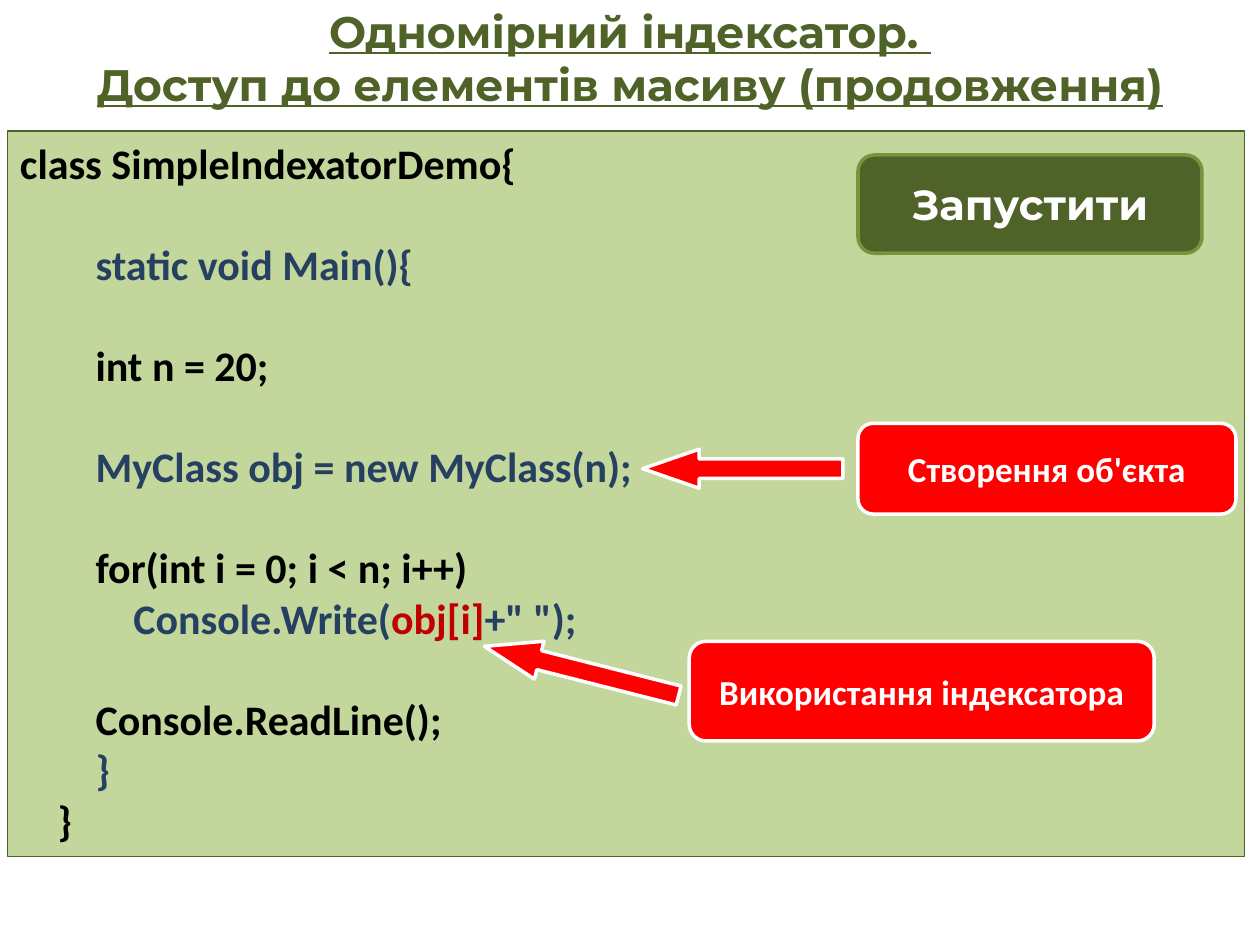
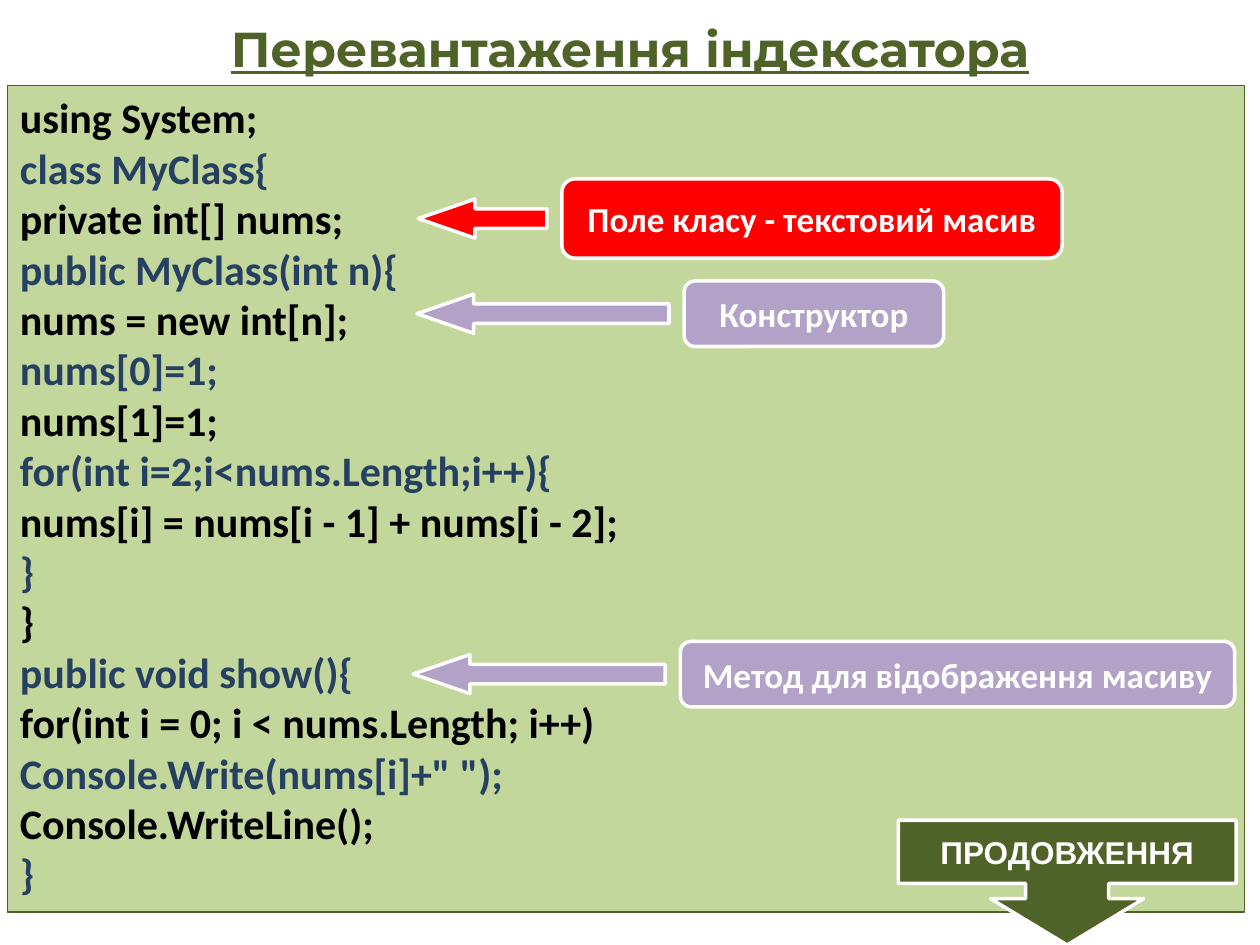
"""Two lecture slides on C# indexers: code panels with pointed-out lines."""
import pptx
import pptx.dml.color
import pptx.enum.shapes
import pptx.enum.text
import pptx.util

Inches = pptx.util.Inches
Pt = pptx.util.Pt
RGBColor = pptx.dml.color.RGBColor
SHAPES = pptx.enum.shapes.MSO_SHAPE
ANCHOR = pptx.enum.text.MSO_ANCHOR
ALIGN = pptx.enum.text.PP_ALIGN

DARK_GREEN = RGBColor(0x4F, 0x62, 0x28)
MID_GREEN = RGBColor(0x77, 0x93, 0x3C)
PALE_GREEN = RGBColor(0xC3, 0xD6, 0x9B)
BLACK = RGBColor(0, 0, 0)
NAVY = RGBColor(0x25, 0x40, 0x61)
DARK_RED = RGBColor(0xC0, 0, 0)
RED = RGBColor(0xFF, 0, 0)
LILAC = RGBColor(0xB3, 0xA2, 0xC7)
WHITE = RGBColor(0xFF, 0xFF, 0xFF)

CODE_FONT = "Calibri"
HEADING_FONT = "Montserrat"
INDENT = 0.3          # inches for each level of code
BLANK_LINE = Pt(29)   # height of one line of code
ARROW_HEIGHT = 0.31

# Code lines: indent level, text, and whether a gap comes before the line.
DEMO_CODE = [
    (0, "class SimpleIndexatorDemo{", False),
    (2, "static void Main(){", True),
    (2, "int n = 20;", True),
    (2, "MyClass obj = new MyClass(n);", True),
    (2, "for(int i = 0; i < n; i++)", True),
    (3, 'Console.Write(obj[i]+" ");', False),
    (2, "Console.ReadLine();", True),
    (2, "}", False),
    (1, "}", False),
]
CLASS_CODE = [(0, text, False) for text in (
    "using System;",
    "class MyClass{",
    "private int[] nums;",
    "public MyClass(int n){",
    "nums = new int[n];",
    "nums[0]=1;",
    "nums[1]=1;",
    "for(int i=2;i<nums.Length;i++){",
    "nums[i] = nums[i - 1] + nums[i - 2];",
    "}",
    "}",
    "public void show(){",
    "for(int i = 0; i < nums.Length; i++)",
    'Console.Write(nums[i]+" ");',
    "Console.WriteLine();",
    "}",
)]


def set_font(font, name, size, color):
    """Give a font the bold face that all text here uses."""
    font.name, font.size, font.bold = name, Pt(size), True
    font.color.rgb = color


def add_shape(page, kind, box, fill, line=WHITE, width=2):
    """Add a flat preset shape in a box of left, top, width, height."""
    shape = page.shapes.add_shape(kind, *map(Inches, box))
    shape.shadow.inherit = False
    shape.fill.solid()
    shape.fill.fore_color.rgb = fill
    shape.line.color.rgb = line
    shape.line.width = Pt(width)
    return shape


def add_label(page, kind, box, text, fill, line=WHITE, font=CODE_FONT, size=20):
    """Add a shape with one centred line of white text."""
    shape = add_shape(page, kind, box, fill, line)
    frame = shape.text_frame
    frame.word_wrap = True
    frame.vertical_anchor = ANCHOR.MIDDLE
    para = frame.paragraphs[0]
    para.text = text
    para.alignment = ALIGN.CENTER
    set_font(para.font, font, size, WHITE)
    return shape


def add_pointer(page, box, text, fill, length, gap=0.12, rise=0, tilt=0):
    """Add a label and, to its left, an arrow pointing at a line of code."""
    left, top, _, height = box
    arrow_box = (left - gap - length, top + (height - ARROW_HEIGHT) / 2 - rise,
                 length, ARROW_HEIGHT)
    arrow = add_shape(page, SHAPES.LEFT_ARROW, arrow_box, fill)
    arrow.adjustments[1] = 1.449
    arrow.rotation = tilt
    add_label(page, SHAPES.ROUNDED_RECTANGLE, box, text, fill)


def add_code(page, box, lines, marked=None):
    """Fill a panel with code in alternating colours, one marked part in red."""
    panel = add_shape(page, SHAPES.RECTANGLE, box, PALE_GREEN, DARK_GREEN, 0.75)
    frame = panel.text_frame
    frame.word_wrap = True
    frame.vertical_anchor = ANCHOR.TOP
    for number, (level, text, gap) in enumerate(lines):
        para = frame.add_paragraph() if number else frame.paragraphs[0]
        para.alignment = ALIGN.LEFT
        set_font(para.font, CODE_FONT, 24, NAVY if number % 2 else BLACK)
        if gap:
            para.space_before = BLANK_LINE
        if level:
            properties = para._p.get_or_add_pPr()
            properties.set("marL", str(Inches(level * INDENT)))
            properties.set("indent", "0")
        parts = text.partition(marked) if marked else (text,)
        for part in filter(None, parts):
            span = para.add_run()
            span.text = part
            if part == marked:
                span.font.color.rgb = DARK_RED


def add_page(deck, title, height, size):
    """Add a title-only page with an underlined green title across its top."""
    page = deck.slides.add_slide(deck.slide_layouts[5])
    box = page.shapes.title
    box.left, box.top = Inches(0), Inches(0)
    box.width, box.height = deck.slide_width, Inches(height)
    frame = box.text_frame
    frame.text = title
    frame.word_wrap = True
    frame.auto_size = pptx.enum.text.MSO_AUTO_SIZE.NONE
    frame.vertical_anchor = ANCHOR.MIDDLE
    para = frame.paragraphs[0]
    para.alignment = ALIGN.CENTER
    set_font(para.font, HEADING_FONT, size, DARK_GREEN)
    para.font.underline = True
    return page


def build_demo_page(deck):
    """Show the program that creates an object and uses its indexer."""
    page = add_page(deck, "Одномірний індексатор. \v"
                    "Доступ до елементів масиву (продовження)", 0.91, 25.2)
    add_code(page, (0.06, 1.04, 9.82, 5.76), DEMO_CODE, "obj[i]")
    add_pointer(page, (6.81, 3.36, 3, 0.72), "Створення об'єкта", RED, 1.59)
    add_pointer(page, (5.47, 5.09, 3.69, 0.79), "Використання індексатора",
                RED, 1.59, gap=0.06, rise=0.16, tilt=14.2)
    add_label(page, SHAPES.ROUNDED_RECTANGLE, (6.81, 1.23, 2.73, 0.78),
              "Запустити", DARK_GREEN, MID_GREEN, HEADING_FONT, 24)


def build_class_page(deck):
    """Show the class with its field, constructor and display method."""
    page = add_page(deck, "Перевантаження індексатора", 0.76, 28)
    add_code(page, (0.06, 0.68, 9.82, 6.56), CLASS_CODE)
    add_pointer(page, (4.46, 1.42, 3.97, 0.63),
                "Поле класу - текстовий масив", RED, 1.02)
    add_pointer(page, (5.43, 2.23, 2.06, 0.52), "Конструктор", LILAC, 2)
    add_pointer(page, (5.4, 5.09, 4.4, 0.52),
                "Метод для відображення масиву", LILAC, 2)
    callout = add_label(page, SHAPES.DOWN_ARROW_CALLOUT,
                        (7.13, 6.51, 2.68, 0.99), "ПРОДОВЖЕННЯ",
                        DARK_GREEN, font="Arial", size=18)
    for index, value in enumerate((0.666, 0.614, 0.371, 0.507)):
        callout.adjustments[index] = value


def main():
    """Build and save the deck."""
    deck = pptx.Presentation()
    deck.slide_width, deck.slide_height = Inches(10), Inches(7.5)
    build_demo_page(deck)
    build_class_page(deck)
    deck.save("out.pptx")


main()
